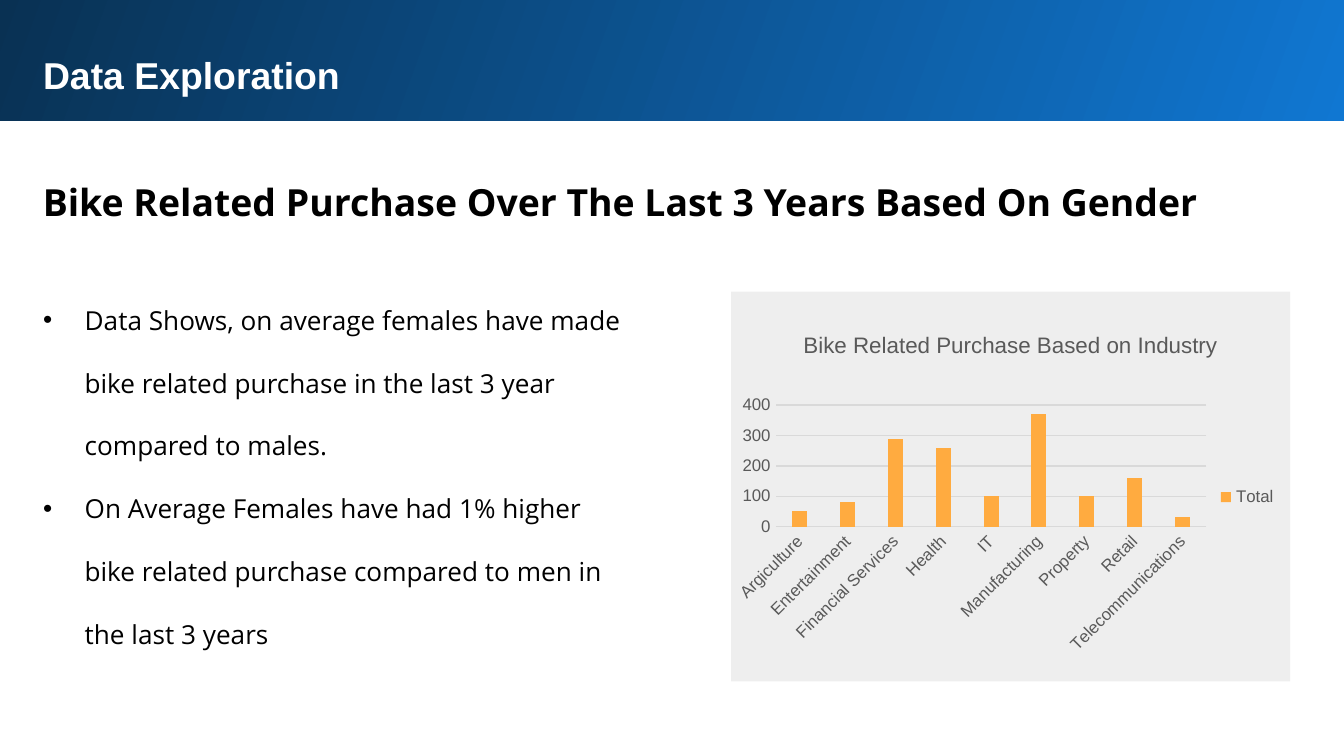
from lxml.etree import SubElement
from pptx import Presentation
from pptx.chart.data import CategoryChartData
from pptx.dml.color import RGBColor
from pptx.enum.chart import XL_CHART_TYPE, XL_LEGEND_POSITION, XL_TICK_MARK
from pptx.enum.shapes import MSO_SHAPE
from pptx.enum.text import MSO_ANCHOR, MSO_AUTO_SIZE, PP_ALIGN
from pptx.oxml import parse_xml
from pptx.oxml.ns import nsdecls, qn
from pptx.util import Inches, Pt

COLORS = {
    "white": "FFFFFF",
    "black": "000000",
    "banner_light": "1077D2",
    "banner_dark": "093153",
    "panel": "EEEEEE",
    "bar": "FFAB40",
    "label": "595959",
    "grid": "D9D9D9",
}
PURCHASES = {
    "Argiculture": 50,
    "Entertainment": 80,
    "Financial Services": 290,
    "Health": 260,
    "IT": 100,
    "Manufacturing": 370,
    "Property": 100,
    "Retail": 160,
    "Telecommunications": 30,
}
FINDINGS = [
    "Data Shows, on average females have made bike related purchase in the last 3 year compared to males.",
    "On Average Females have had 1% higher bike related purchase compared to men in the last 3 years",
]


class SlideBuilder:
    """Holds the style and the current slide, and adds each kind of element."""

    display_font = "Arial"
    text_font = "Open Sans"
    indent = Inches(0.31)

    def __init__(self, presentation):
        self.slide = presentation.slides.add_slide(presentation.slide_layouts[1])

    def color(self, name):
        return RGBColor.from_string(COLORS[name])

    def style_font(self, font, name, size, color, bold=False):
        font.name = name
        font.size = Pt(size)
        font.bold = bold
        font.color.rgb = self.color(color)

    def place(self, shape, box):
        shape.left, shape.top, shape.width, shape.height = map(Inches, box)

    def fill_text(self, shape, lines, font_name, size, color, bold=False, spacing=1.0):
        frame = shape.text_frame
        frame.text = "\n".join(lines)
        frame.word_wrap = True
        frame.auto_size = MSO_AUTO_SIZE.NONE
        frame.vertical_anchor = MSO_ANCHOR.TOP
        frame.margin_left = frame.margin_right = Inches(0.1)
        frame.margin_top = frame.margin_bottom = Inches(0.1)
        for paragraph in frame.paragraphs:
            paragraph.alignment = PP_ALIGN.LEFT
            paragraph.line_spacing = spacing
            paragraph.space_before = paragraph.space_after = Pt(0)
            for run in paragraph.runs:
                self.style_font(run.font, font_name, size, color, bold)

    def rectangle(self, box):
        shape = self.slide.shapes.add_shape(MSO_SHAPE.RECTANGLE, *map(Inches, box))
        shape.shadow.inherit = False
        shape.line.fill.background()
        return shape

    def banner(self, box):
        shape = self.rectangle(box)
        shape.fill.gradient()
        shape.fill.gradient_angle = 160
        for stop, name, position in zip(
            shape.fill.gradient_stops, ("banner_light", "banner_dark"), (0, 1)
        ):
            stop.color.rgb = self.color(name)
            stop.position = position
        self.slide.shapes.element.insert(2, shape.element)

    def panel(self, box):
        shape = self.rectangle(box)
        shape.fill.solid()
        shape.fill.fore_color.rgb = self.color("panel")

    def title(self, text, box):
        shape = self.slide.shapes.title
        self.place(shape, box)
        self.fill_text(shape, [text], self.display_font, 20, "white", bold=True)

    def heading(self, text, box):
        shape = self.slide.shapes.add_textbox(*map(Inches, box))
        self.fill_text(shape, [text], self.text_font, 20, "black", bold=True, spacing=1.15)

    def bullets(self, lines, box):
        shape = self.slide.placeholders[1]
        self.place(shape, box)
        self.fill_text(shape, lines, self.text_font, 14, "black", spacing=2.0)
        for paragraph in shape.text_frame.paragraphs:
            properties = paragraph._p.get_or_add_pPr()
            properties.set("marL", str(self.indent))
            properties.set("indent", str(-self.indent))
            SubElement(properties, qn("a:buFont"), typeface=self.display_font)
            SubElement(properties, qn("a:buChar"), char="•")

    def column_chart(self, title, series_name, values, box, plot_box):
        data = CategoryChartData()
        data.categories = list(values)
        data.add_series(series_name, list(values.values()))
        chart = self.slide.shapes.add_chart(
            XL_CHART_TYPE.COLUMN_CLUSTERED, *map(Inches, box), data
        ).chart
        self.style_font(chart.font, self.display_font, 10, "black")

        chart.has_title = True
        chart.chart_title.include_in_layout = False
        chart.chart_title.text_frame.text = title
        title_run = chart.chart_title.text_frame.paragraphs[0].runs[0]
        self.style_font(title_run.font, self.display_font, 12, "label")

        chart.has_legend = True
        chart.legend.position = XL_LEGEND_POSITION.RIGHT
        chart.legend.include_in_layout = False
        self.style_font(chart.legend.font, self.display_font, 9, "label")

        plot = chart.plots[0]
        plot.gap_width, plot.overlap, plot.vary_by_categories = 219, -27, False
        bars = plot.series[0].format.fill
        bars.solid()
        bars.fore_color.rgb = self.color("bar")

        for axis in (chart.category_axis, chart.value_axis):
            axis.major_tick_mark = axis.minor_tick_mark = XL_TICK_MARK.NONE
            self.style_font(axis.tick_labels.font, self.display_font, 9, "label")
        chart.value_axis.maximum_scale = 400
        chart.value_axis.minimum_scale = 0
        chart.value_axis.major_unit = 100
        chart.value_axis.format.line.fill.background()
        for line in (
            chart.category_axis.format.line,
            chart.value_axis.major_gridlines.format.line,
        ):
            line.color.rgb = self.color("grid")
            line.width = Pt(0.75)
        label_body = chart.category_axis._element.find(qn("c:txPr")).find(qn("a:bodyPr"))
        label_body.set("rot", str(-45 * 60000))
        self.set_plot_box(chart, plot_box)

    def set_plot_box(self, chart, plot_box):
        modes = "".join(f'<c:{side}Mode val="edge"/>' for side in "xy")
        sizes = "".join(f'<c:{side} val="{value}"/>' for side, value in zip("xywh", plot_box))
        layout = parse_xml(
            f'<c:layout {nsdecls("c")}><c:manualLayout><c:layoutTarget val="inner"/>'
            f"{modes}{sizes}</c:manualLayout></c:layout>"
        )
        plot_area = chart._chartSpace.chart.plotArea
        for existing in plot_area.findall(qn("c:layout")):
            plot_area.remove(existing)
        plot_area.insert(0, layout)


def main():
    presentation = Presentation()
    presentation.slide_width = Inches(10)
    presentation.slide_height = presentation.slide_width * 9 // 16
    builder = SlideBuilder(presentation)
    builder.banner((-0.02, -0.02, 10.05, 0.92))
    builder.title("Data Exploration", (0.22, 0.29, 9.37, 0.54))
    builder.heading(
        "Bike Related Purchase Over The Last 3 Years Based On Gender",
        (0.22, 1.18, 9.37, 0.56),
    )
    builder.bullets(FINDINGS, (0.22, 1.93, 4.52, 3.43))
    builder.panel((5.44, 2.17, 4.16, 2.9))
    builder.column_chart(
        "Bike Related Purchase Based on Industry",
        "Total",
        PURCHASES,
        (5.44, 2.33, 4.16, 2.74),
        (0.08, 0.25, 0.77, 0.33),
    )
    presentation.save("out.pptx")


if __name__ == "__main__":
    main()
